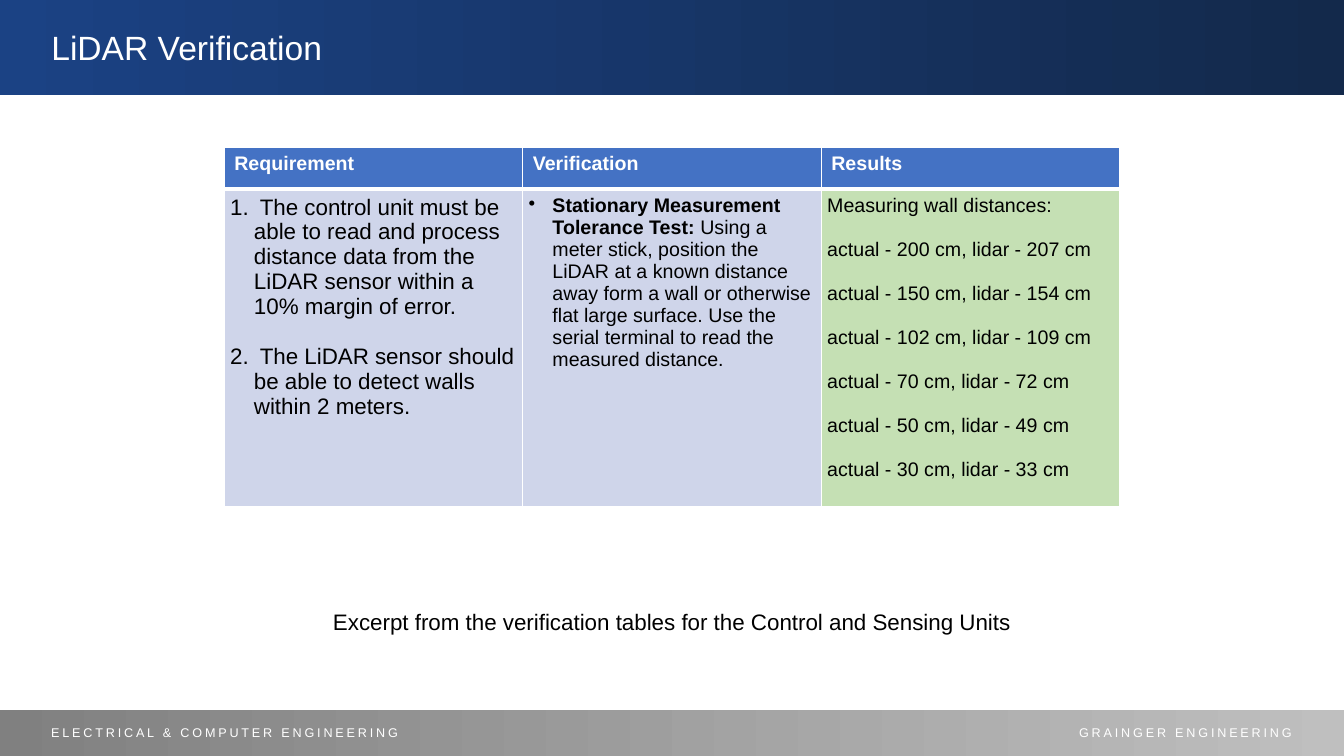
from pptx import Presentation
from pptx.dml.color import RGBColor
from pptx.enum.shapes import MSO_SHAPE
from pptx.enum.text import MSO_ANCHOR, MSO_AUTO_SIZE, PP_ALIGN
from pptx.oxml import parse_xml
from pptx.oxml.ns import nsdecls
from pptx.util import Cm, Pt

WHITE = RGBColor(0xFF, 0xFF, 0xFF)
BLACK = RGBColor(0, 0, 0)
BLUE = RGBColor(0x1B, 0x42, 0x84)
NAVY = RGBColor(0x13, 0x29, 0x4B)
DARK_GREY = RGBColor(0x80, 0x80, 0x80)
LIGHT_GREY = RGBColor(0xBF, 0xBF, 0xBF)
HEADING_BLUE = RGBColor(0x44, 0x72, 0xC4)
PALE_BLUE = RGBColor(0xCF, 0xD5, 0xEA)
PALE_GREEN = RGBColor(0xC5, 0xE0, 0xB4)

FONT = "Arial"
WIDTH, HEIGHT = Cm(33.87), Cm(19.05)
HANGING = Cm(0.6)

HEADINGS = ["Requirement", "Verification", "Results"]
REQUIREMENTS = [
    " The control unit must be able to read and process distance data from "
    "the LiDAR sensor within a 10% margin of error.",
    " The LiDAR sensor should be able to detect walls within 2 meters.",
]
TEST_NAME = "Stationary Measurement Tolerance Test: "
TEST_STEPS = (
    "Using a meter stick, position the LiDAR at a known distance away form a "
    "wall or otherwise flat large surface. Use the serial terminal to read "
    "the measured distance."
)
MEASUREMENTS = [(200, 207), (150, 154), (102, 109), (70, 72), (50, 49), (30, 33)]


def style_run(run, size, color=BLACK, bold=False):
    run.font.name = FONT
    run.font.size = Pt(size)
    run.font.color.rgb = color
    run.font.bold = bold


def add_band(slide, top, height, start, end):
    band = slide.shapes.add_shape(MSO_SHAPE.RECTANGLE, 0, top, WIDTH, height)
    band.shadow.inherit = False
    band.line.fill.background()
    band.fill.gradient()
    band.fill.gradient_angle = 0
    for stop, color in zip(band.fill.gradient_stops, (start, end)):
        stop.color.rgb = color
    return band


def add_label(slide, text, box, size, color, align):
    label = slide.shapes.add_textbox(*box)
    label.text_frame.word_wrap = True
    label.text_frame.text = text
    paragraph = label.text_frame.paragraphs[0]
    paragraph.alignment = align
    style_run(paragraph.runs[0], size, color)
    return paragraph.runs[0]


def add_header(slide, top, height):
    band = add_band(slide, top, height, BLUE, NAVY)
    title = slide.shapes.title
    title.element.addprevious(band.element)
    title.left, title.top = Cm(1.04), top + Cm(0.58)
    title.width, title.height = Cm(30.3), Cm(1.27)
    frame = title.text_frame
    frame.text = "LiDAR Verification"
    frame.auto_size = MSO_AUTO_SIZE.NONE
    frame.vertical_anchor = MSO_ANCHOR.TOP
    frame.paragraphs[0].alignment = PP_ALIGN.LEFT
    style_run(frame.paragraphs[0].runs[0], 24, WHITE)


def add_footer(slide, top, height):
    add_band(slide, top, height, DARK_GREY, LIGHT_GREY)
    for text, left, width, align in (
        ("ELECTRICAL & COMPUTER ENGINEERING", Cm(1.04), Cm(22.2), PP_ALIGN.LEFT),
        ("GRAINGER ENGINEERING", Cm(25.1), Cm(7.7), PP_ALIGN.RIGHT),
    ):
        box = (left, top + Cm(0.25), width, Cm(0.64))
        run = add_label(slide, text, box, 9, WHITE, align)
        run.font._element.set("spc", "200")


def add_marker(paragraph, marker):
    """Give the paragraph a hanging indent and the given bullet XML element."""
    properties = paragraph._p.get_or_add_pPr()
    properties.set("marL", str(HANGING))
    properties.set("indent", str(-HANGING))
    properties.append(parse_xml(
        f'<a:buClr {nsdecls("a")}><a:srgbClr val="{BLACK}"/></a:buClr>'))
    properties.append(parse_xml(f'<a:{marker} {nsdecls("a")}/>'))


def format_cell(cell, fill, top_line, bottom_line):
    """Fill the cell and edge it in white, with line widths in points."""
    cell.fill.solid()
    cell.fill.fore_color.rgb = fill
    edges = (("L", 1), ("R", 1), ("T", top_line), ("B", bottom_line))
    for place, (side, width) in enumerate(edges):
        cell._tc.get_or_add_tcPr().insert(place, parse_xml(
            f'<a:ln{side} {nsdecls("a")} w="{Pt(width)}"><a:solidFill>'
            f'<a:srgbClr val="{WHITE}"/></a:solidFill></a:ln{side}>'))


def fill_requirements(frame):
    frame.text = "\n".join(REQUIREMENTS)
    for number, paragraph in enumerate(frame.paragraphs, 1):
        paragraph.space_after = Pt(18)
        add_marker(paragraph, f'buAutoNum type="arabicPeriod" startAt="{number}"')
        style_run(paragraph.runs[0], 16)


def fill_verification(frame):
    paragraph = frame.paragraphs[0]
    add_marker(paragraph, 'buChar char="•"')
    for text, bold in ((TEST_NAME, True), (TEST_STEPS, False)):
        run = paragraph.add_run()
        run.text = text
        style_run(run, 14, bold=bold)


def fill_results(frame):
    lines = [f"actual - {actual} cm, lidar - {lidar} cm"
             for actual, lidar in MEASUREMENTS]
    frame.text = "\n".join(["Measuring wall distances:"] + lines)
    for index, paragraph in enumerate(frame.paragraphs):
        if index:
            paragraph.space_before = Pt(15.7)
        style_run(paragraph.runs[0], 14)


def add_verification_table(slide, left, top, width, height):
    table = slide.shapes.add_table(2, len(HEADINGS), left, top, width, height).table
    heading_height = Cm(1.04)
    table.rows[0].height = heading_height
    table.rows[1].height = height - heading_height
    for cell, heading in zip(table.rows[0].cells, HEADINGS):
        format_cell(cell, HEADING_BLUE, 1, 3)
        cell.text_frame.text = heading
        style_run(cell.text_frame.paragraphs[0].runs[0], 14, WHITE, True)

    fillers = (fill_requirements, fill_verification, fill_results)
    fills = (PALE_BLUE, PALE_BLUE, PALE_GREEN)
    for cell, write, fill in zip(table.rows[1].cells, fillers, fills):
        format_cell(cell, fill, 3, 1)
        cell.margin_left = cell.margin_right = Cm(0.15)
        cell.margin_top = cell.margin_bottom = Cm(0.15)
        write(cell.text_frame)


def main():
    presentation = Presentation()
    presentation.slide_width, presentation.slide_height = WIDTH, HEIGHT
    slide = presentation.slides.add_slide(presentation.slide_layouts[5])
    add_header(slide, Cm(-0.02), Cm(2.41))
    add_verification_table(slide, Cm(5.65), Cm(3.72), Cm(22.57), Cm(9.04))
    add_label(
        slide,
        "Excerpt from the verification tables for the Control and Sensing Units",
        (Cm(1.62), Cm(15.2), Cm(30.63), Cm(1.83)), 16, BLACK, PP_ALIGN.CENTER)
    add_footer(slide, Cm(17.88), Cm(1.17))
    presentation.save("out.pptx")


if __name__ == "__main__":
    main()
